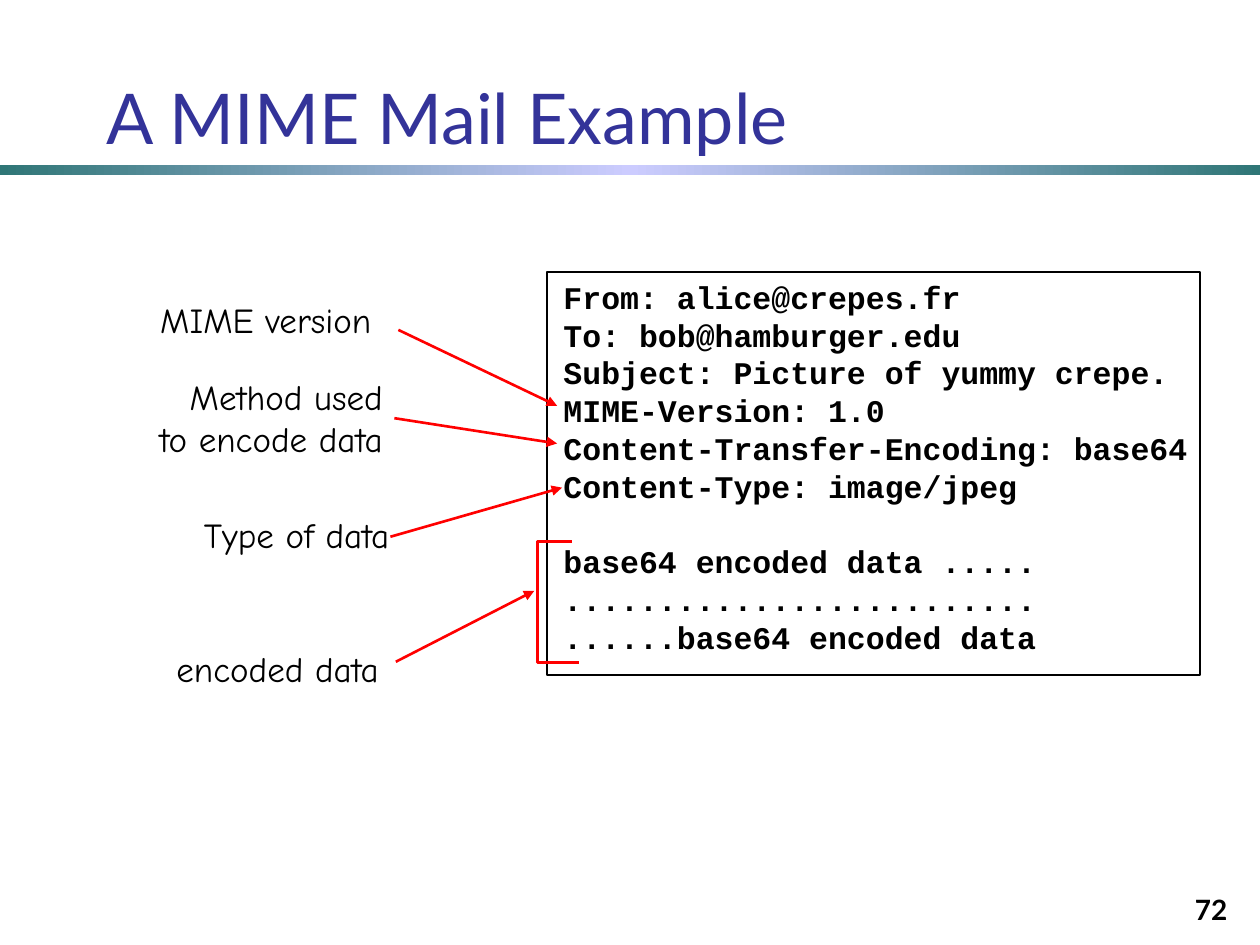
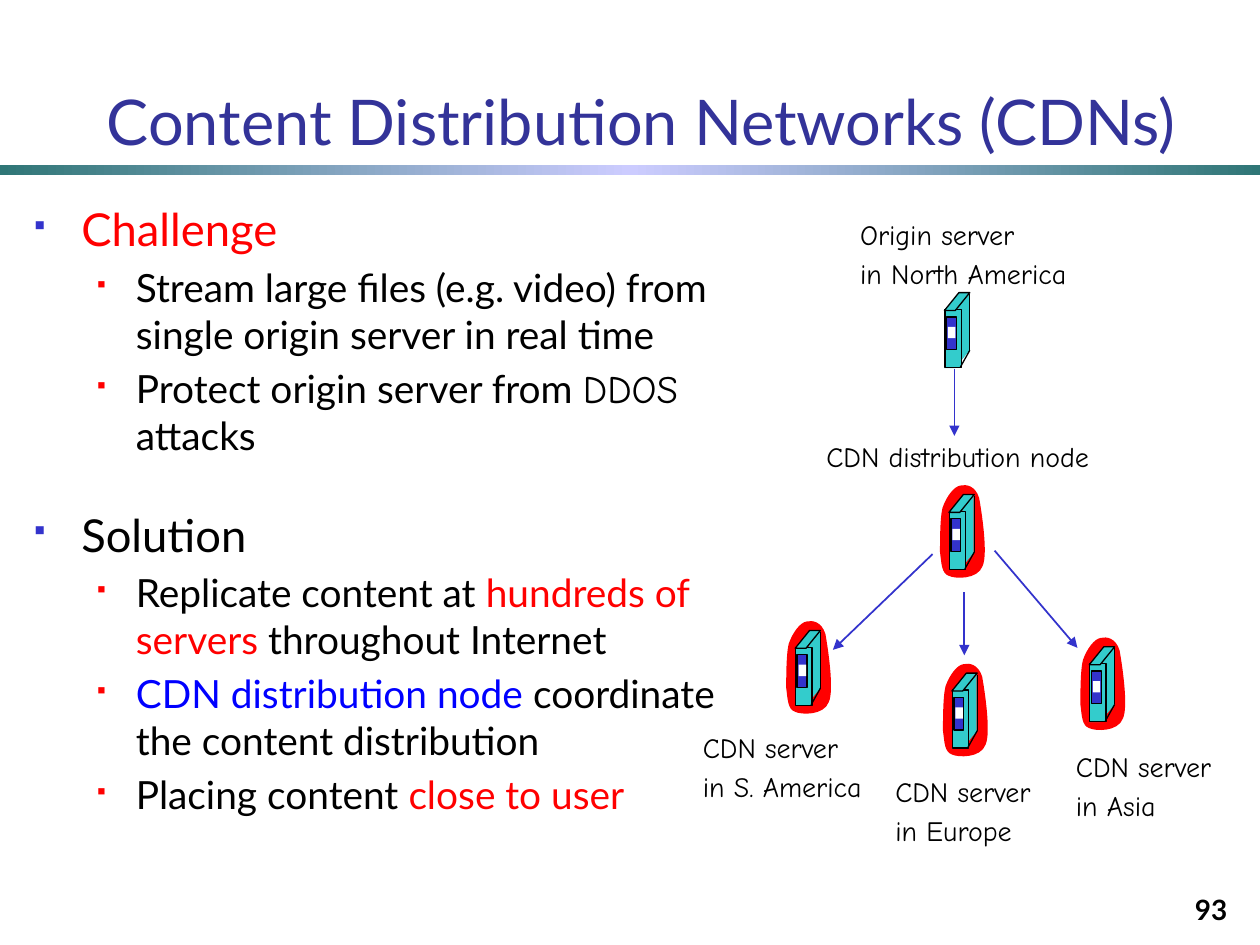
from copy import deepcopy
from dataclasses import dataclass

from pptx import Presentation
from pptx import util as u
from pptx.dml.color import RGBColor
from pptx.enum import shapes, text
from pptx.oxml.ns import qn
from lxml import etree


@dataclass(frozen=True)
class Theme:
    title: str = "333399"
    ink: str = "000000"
    accent: str = "FF0000"
    blue: str = "3333CC"
    link: str = "0000FF"
    teal: str = "33CCCC"
    white: str = "FFFFFF"
    band_edge: str = "2F7676"
    band_middle: str = "CCCCFF"
    sans: str = "Lato"
    hand: str = "Comic Neue"
    mono: str = "Courier New"
    bullet: str = "Wingdings"
    callout_size: float = 20
    label_size: float = 16
    code_size: float = 18
    topic_size: float = 25.9
    point_size: float = 22.2


THEME = Theme()
SHAPE = shapes.MSO_SHAPE
ALIGN = text.PP_ALIGN


def rgb(color):
    return RGBColor.from_string(color)


def add_run(para, words, size, color=THEME.ink, font=THEME.sans, bold=False):
    span = para.add_run()
    span.text = words
    span.font.size = u.Pt(size)
    span.font.name = font
    span.font.bold = bold
    span.font.color.rgb = rgb(color)


def next_para(frame, index):
    return frame.paragraphs[0] if index == 0 else frame.add_paragraph()


def paint(shape, fill=None, line=None, width=0.75):
    shape.shadow.inherit = False
    if fill:
        shape.fill.solid()
        shape.fill.fore_color.rgb = rgb(fill)
    else:
        shape.fill.background()
    if line:
        shape.line.color.rgb = rgb(line)
        shape.line.width = u.Pt(width)
    else:
        shape.line.fill.background()


def add_block(page, kind, place, fill=None, line=None, width=0.75):
    block = page.shapes.add_shape(kind, *map(u.Cm, place))
    paint(block, fill, line, width)
    return block


def add_line(page, start, end, color, width, arrow=True):
    line = page.shapes.add_connector(
        shapes.MSO_CONNECTOR.STRAIGHT, *map(u.Cm, (*start, *end)))
    line.line.color.rgb = rgb(color)
    line.line.width = u.Pt(width)
    if arrow:
        etree.SubElement(line.line._get_or_add_ln(), qn("a:tailEnd"), type="triangle")
    etree.SubElement(line._element.spPr, qn("a:effectLst"))


def add_outline(page, points, close, **colors):
    corners = [(u.Cm(x), u.Cm(y)) for x, y in points]
    builder = page.shapes.build_freeform(*corners[0])
    builder.add_line_segments(corners[1:], close=close)
    outline = builder.convert_to_shape()
    paint(outline, **colors)
    return outline


def add_label(page, place, lines, size, align=ALIGN.LEFT, gap=0):
    box = page.shapes.add_textbox(*map(u.Cm, place))
    frame = box.text_frame
    frame.word_wrap = False
    frame.auto_size = text.MSO_AUTO_SIZE.SHAPE_TO_FIT_TEXT
    for index, words in enumerate(lines):
        para = next_para(frame, index)
        para.alignment = align
        if index:
            para.space_before = u.Pt(gap)
        add_run(para, words, size, font=THEME.hand)
    return frame


def add_band(page):
    band = add_block(page, SHAPE.RECTANGLE, (0, 3.32, 25.4, 0.2))
    band.fill.gradient()
    band.fill.gradient_angle = 0
    stop_list = band._element.spPr.find(qn("a:gradFill")).find(qn("a:gsLst"))
    stop_list.insert(1, deepcopy(stop_list[0]))
    colors = (THEME.band_edge, THEME.band_middle, THEME.band_edge)
    for index, (stop, color) in enumerate(zip(band.fill.gradient_stops, colors)):
        stop.position = index / 2
        stop.color.rgb = rgb(color)


def add_page(deck, heading, size, number):
    page = deck.slides.add_slide(deck.slide_layouts[5])
    add_band(page)
    title = page.shapes.title
    title.left, title.top, title.width, title.height = map(u.Cm, (1.9, 0.91, 23.5, 2.41))
    frame = title.text_frame
    frame.auto_size = text.MSO_AUTO_SIZE.NONE
    frame.vertical_anchor = text.MSO_ANCHOR.BOTTOM
    frame.paragraphs[0].alignment = ALIGN.LEFT
    add_run(frame.paragraphs[0], heading, size, THEME.title)

    footer = page.shapes.add_textbox(*map(u.Cm, (19.71, 17.53, 5.28, 1.27))).text_frame
    footer.word_wrap = True
    footer.vertical_anchor = text.MSO_ANCHOR.BOTTOM
    footer.paragraphs[0].alignment = ALIGN.RIGHT
    add_run(footer.paragraphs[0], number, THEME.label_size, bold=True)
    return page


def add_message(page, place, sections):
    """Frame a message; its sections stand one line apart."""
    pitch = u.Pt(THEME.code_size * 1.2)
    frame = add_block(page, SHAPE.RECTANGLE, place, line=THEME.ink, width=1).text_frame
    frame.word_wrap = True
    frame.vertical_anchor = text.MSO_ANCHOR.TOP
    frame.margin_left, frame.margin_right, frame.margin_top = u.Cm(0.33), 0, u.Cm(0.11)
    index = 0
    for section in sections:
        for row, words in enumerate(section):
            para = next_para(frame, index)
            para.alignment = ALIGN.LEFT
            para.line_spacing = pitch
            if index and row == 0:
                para.space_before = pitch
            add_run(para, words, THEME.code_size, font=THEME.mono, bold=True)
            index += 1


def set_bullet(para, left, hanging, color, percent):
    """Give a small square; Wingdings draws it for the section sign."""
    props = para._p.get_or_add_pPr()
    props.set("marL", str(u.Cm(left)))
    props.set("indent", str(-u.Cm(hanging)))
    bullet_color = etree.SubElement(props, qn("a:buClr"))
    etree.SubElement(bullet_color, qn("a:srgbClr"), val=color)
    etree.SubElement(props, qn("a:buSzPct"), val=str(percent * 1000))
    etree.SubElement(props, qn("a:buFont"), typeface=THEME.bullet, charset="2")
    etree.SubElement(props, qn("a:buChar"), char="§")


def add_outline_text(page, place, topics):
    """Write topics, each a coloured heading with points made of runs."""
    frame = page.shapes.add_textbox(*map(u.Cm, place)).text_frame
    frame.word_wrap = True
    for index, (heading, color, points) in enumerate(topics):
        para = next_para(frame, index)
        if index:
            para.space_before = u.Pt(28)
        set_bullet(para, 0.96, 0.96, THEME.blue, 60)
        add_run(para, heading, THEME.topic_size, color)
        for point in points:
            para = frame.add_paragraph()
            para.level = 1
            para.space_before = u.Pt(4.4)
            set_bullet(para, 2.06, 0.79, THEME.accent, 55)
            for words, *style in point:
                add_run(para, words, THEME.point_size, *style)


def add_tower(page, left, top):
    def part(kind, x, y, width, height, fill, line=None):
        block = add_block(page, kind, (left + x, top + y, width, height), fill, line)
        if kind == SHAPE.PARALLELOGRAM:
            block.adjustments[0] = 0.81

    part(SHAPE.PARALLELOGRAM, 0, 1.16, 0.51, 0.36, THEME.teal)
    part(SHAPE.RECTANGLE, 0.27, 0.03, 0.23, 1.17, THEME.teal)
    part(SHAPE.RECTANGLE, 0.01, 0.34, 0.33, 1.17, THEME.teal, THEME.ink)
    part(SHAPE.PARALLELOGRAM, 0, 0, 0.51, 0.36, THEME.teal, THEME.ink)
    edge = [(left + x, top + y) for x, y in ((0.51, 0.03), (0.51, 1.16), (0.32, 1.5))]
    for start, end in zip(edge, edge[1:]):
        add_line(page, start, end, THEME.ink, 0.75, arrow=False)
    part(SHAPE.RECTANGLE, 0.04, 0.49, 0.2, 0.66, THEME.blue, THEME.ink)
    part(SHAPE.RECTANGLE, 0.07, 0.69, 0.15, 0.23, THEME.white)


# A start, then two handles and an end for each curve.
HALO = [
    (0.05, 0.48),
    (0.13, 0.25), (0.28, 0.05), (0.41, 0.03),
    (0.53, 0), (0.71, 0.03), (0.79, 0.28),
    (0.84, 0.56), (0.97, 1.4), (0.86, 1.65),
    (0.76, 1.93), (0.3, 1.91), (0.18, 1.85),
    (0.03, 1.8), (0.03, 1.6), (0, 1.37),
    (0, 1.14), (0, 0.69), (0.05, 0.48),
]


def bend(outline):
    """Turn every three straight segments into one cubic curve."""
    track = outline._element.spPr.find(".//" + qn("a:path"))
    segments = track.findall(qn("a:lnTo"))
    for first in range(0, len(segments), 3):
        curve = etree.Element(qn("a:cubicBezTo"))
        segments[first].addprevious(curve)
        for segment in segments[first:first + 3]:
            curve.append(segment[0])
            track.remove(segment)


def add_cdn_server(page, left, top):
    points = [(left + x, top + y) for x, y in HALO]
    bend(add_outline(page, points, True, fill=THEME.accent))
    add_tower(page, left + 0.18, top + 0.21)


def build_mime_page(deck):
    page = add_page(deck, "A MIME Mail Example", 40, "72")
    add_message(page, (11.03, 5.49, 13.16, 8.12), [
        ["From: alice@crepes.fr", "To: bob@hamburger.edu",
         "Subject: Picture of yummy crepe.", "MIME-Version: 1.0",
         "Content-Transfer-Encoding: base64", "Content-Type: image/jpeg"],
        ["base64 encoded data .....", "." * 25, "......base64 encoded data"],
    ])
    callouts = [
        (["MIME version"], (2.78, 5.89, 5.16, 1.09), ALIGN.CENTER,
         (8.03, 6.65), (11.23, 8.18)),
        (["Method used", "to encode data"], (2.59, 7.44, 5.38, 1.96), ALIGN.RIGHT,
         (7.95, 8.43), (11.23, 8.94)),
        (["Type of data"], (2.16, 10.23, 5.94, 1.12), ALIGN.RIGHT,
         (7.87, 10.82), (11.33, 9.83)),
        (["encoded data"], (3.15, 12.92, 4.9, 1.09), ALIGN.CENTER,
         (7.98, 13.34), (10.77, 11.91)),
    ]
    for lines, place, align, start, end in callouts:
        add_label(page, place, lines, THEME.callout_size, align).word_wrap = len(lines) == 1
        add_line(page, start, end, THEME.accent, 1.5)
    bracket = [(11.53, 10.92), (10.84, 10.92), (10.84, 13.36), (11.68, 13.36)]
    add_outline(page, bracket, False, line=THEME.accent, width=1.5)


def build_cdn_page(deck):
    page = add_page(deck, "Content Distribution Networks (CDNs)", 36, "93")
    add_outline_text(page, (0.43, 3.94, 14.91, 13.59), [
        ("Challenge", THEME.accent, [
            [("Stream large files (e.g. video) from single origin server in real time",)],
            [("Protect origin server from ",), ("DDOS", THEME.ink, THEME.hand),
             (" attacks",)],
        ]),
        ("Solution", THEME.ink, [
            [("Replicate content at ",), ("hundreds of servers", THEME.accent),
             (" throughout Internet",)],
            [("CDN distribution node ", THEME.link),
             ("coordinate the content distribution",)],
            [("Placing content ",), ("close to user", THEME.accent)],
        ]),
    ])
    add_tower(page, 19.04, 5.9)
    for left, top in ((15.85, 12.5), (19.01, 13.36), (21.78, 12.83), (18.95, 9.76)):
        add_cdn_server(page, left, top)
    labels = [
        (["Origin server", "in North America"], (17.09, 4.27, 5.08, 1.75)),
        (["CDN distribution node"], (16.41, 8.74, 6.38, 0.94)),
        (["CDN server", "in S. America"], (13.92, 14.61, 4.01, 1.75)),
        (["CDN server", "in Europe"], (17.8, 15.49, 3.58, 1.75)),
        (["CDN server", "in Asia"], (21.44, 14.99, 3.58, 1.75)),
    ]
    for lines, place in labels:
        add_label(page, place, lines, THEME.label_size, gap=3)
    arrows = [
        ((19.24, 7.44), (19.24, 8.79)), ((18.8, 11.17), (16.79, 13.1)),
        ((19.44, 11.94), (19.44, 13.21)), ((20.05, 11.1), (21.72, 13.06)),
    ]
    for start, end in arrows:
        add_line(page, start, end, THEME.blue, 1)


def main():
    deck = Presentation()
    deck.slide_width, deck.slide_height = u.Cm(25.4), u.Cm(19.05)
    build_mime_page(deck)
    build_cdn_page(deck)
    deck.save("out.pptx")


if __name__ == "__main__":
    main()
